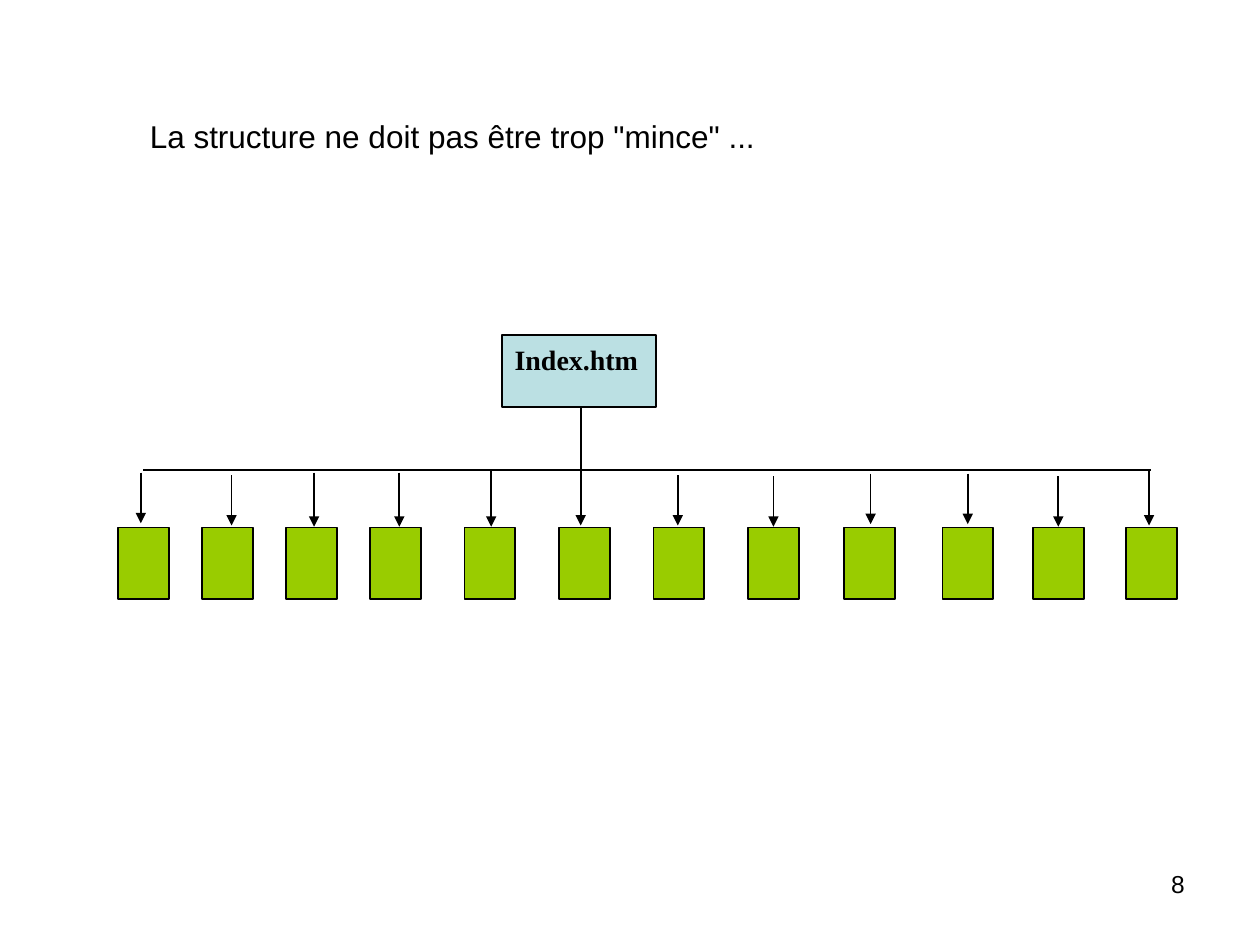
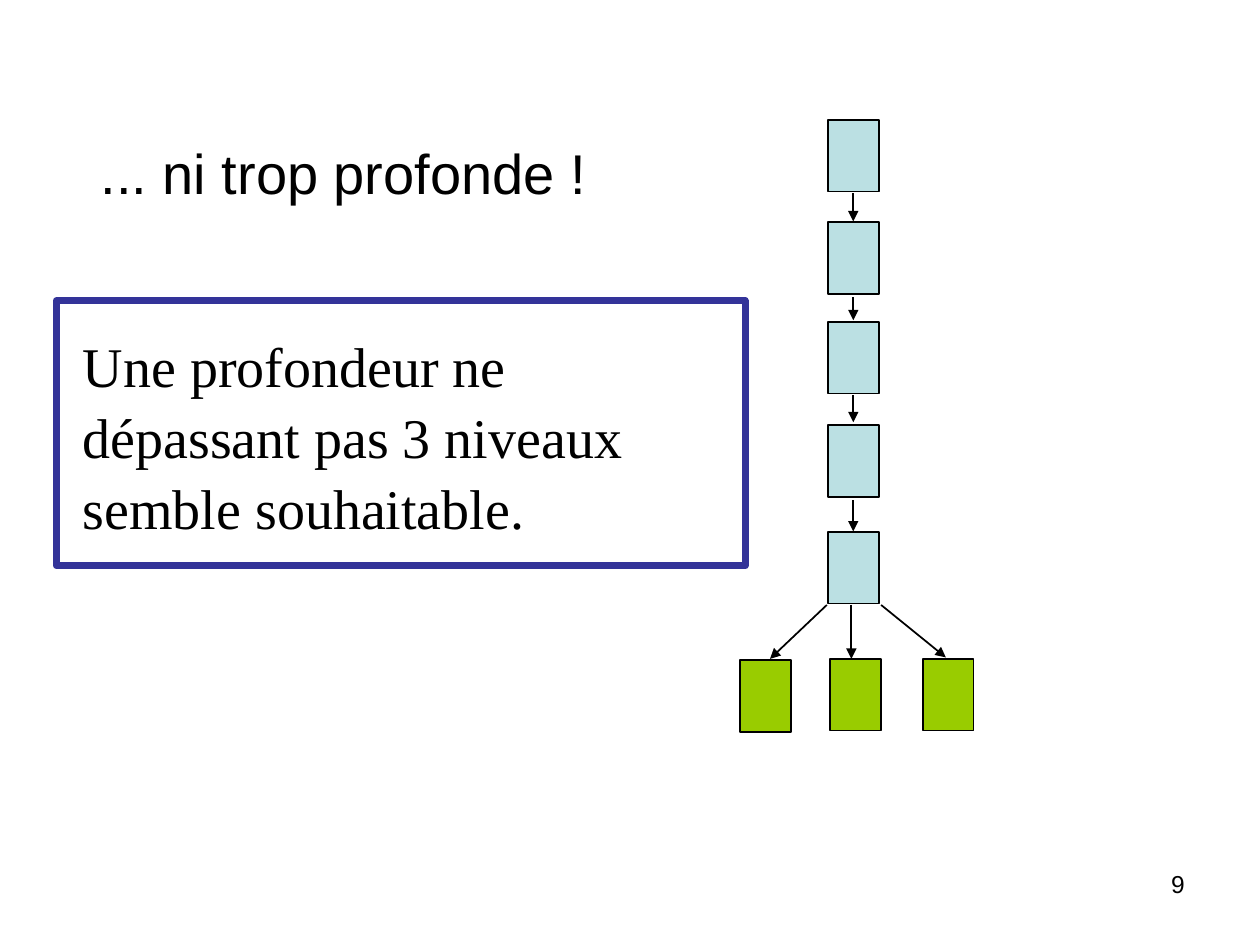
from dataclasses import dataclass
from typing import NamedTuple

from lxml.etree import SubElement
from pptx import Presentation
from pptx.dml.color import RGBColor
from pptx.enum.shapes import MSO_CONNECTOR, MSO_SHAPE
from pptx.enum.text import MSO_ANCHOR, PP_ALIGN
from pptx.oxml.ns import qn
from pptx.shapes.autoshape import Shape
from pptx.slide import Slide
from pptx.util import Pt


@dataclass(frozen=True)
class Theme:
    ink: RGBColor = RGBColor(0x00, 0x00, 0x00)
    branch: RGBColor = RGBColor(0xBB, 0xE0, 0xE3)
    leaf: RGBColor = RGBColor(0x99, 0xCC, 0x00)
    frame: RGBColor = RGBColor(0x33, 0x33, 0x99)
    sans: str = "Arial"
    serif: str = "Times New Roman"
    large: float = 32
    medium: float = 18
    label: float = 16
    number: float = 14
    thin: float = 1
    thick: float = 4
    line_spacing: float = 1.05


class Area(NamedTuple):
    left: float
    top: float
    width: float
    height: float


class Arrow(NamedTuple):
    start_x: float
    start_y: float
    end_x: float
    end_y: float


class Leaf(NamedTuple):
    left: float
    arrow_x: float
    arrow_top: float
    arrow_bottom: float


THEME = Theme()
NODE_WIDTH, NODE_HEIGHT = 29, 41
NUMBER_AREA = Area(516, 492, 168, 37)


def write(box: Shape, text: str, size: float, font: str, bold: bool = False,
          align: PP_ALIGN = PP_ALIGN.LEFT, inset_x: float = 7.2,
          inset_y: float = 3.6) -> None:
    frame = box.text_frame
    frame.word_wrap = True
    frame.vertical_anchor = MSO_ANCHOR.TOP
    frame.margin_left = frame.margin_right = Pt(inset_x)
    frame.margin_top = frame.margin_bottom = Pt(inset_y)
    para = frame.paragraphs[0]
    para.text = text
    para.alignment = align
    para.line_spacing = THEME.line_spacing
    para.font.size = Pt(size)
    para.font.name = font
    para.font.bold = bold
    para.font.color.rgb = THEME.ink


def add_text(page: Slide, area: Area, text: str, size: float,
             align: PP_ALIGN = PP_ALIGN.LEFT) -> None:
    box = page.shapes.add_textbox(*map(Pt, area))
    write(box, text, size, THEME.sans, align=align)


def add_rectangle(page: Slide, area: Area, fill: RGBColor | None,
                  line: RGBColor = THEME.ink, weight: float = THEME.thin) -> Shape:
    box = page.shapes.add_shape(MSO_SHAPE.RECTANGLE, *map(Pt, area))
    box.shadow.inherit = False
    if fill is None:
        box.fill.background()
    else:
        box.fill.solid()
        box.fill.fore_color.rgb = fill
    box.line.color.rgb = line
    box.line.width = Pt(weight)
    return box


def add_node(page: Slide, left: float, top: float, fill: RGBColor) -> None:
    add_rectangle(page, Area(left, top, NODE_WIDTH, NODE_HEIGHT), fill)


def add_line(page: Slide, route: Arrow, head: bool = True) -> None:
    line = page.shapes.add_connector(MSO_CONNECTOR.STRAIGHT, *map(Pt, route))
    line.line.color.rgb = THEME.ink
    line.line.width = Pt(THEME.thin)
    if head:
        SubElement(line.line._get_or_add_ln(), qn("a:tailEnd"), type="triangle")
    SubElement(line._element.spPr, qn("a:effectLst"))


def add_page(deck: Presentation, number: int) -> Slide:
    page = deck.slides.add_slide(deck.slide_layouts[6])
    add_text(page, NUMBER_AREA, str(number), THEME.number, PP_ALIGN.RIGHT)
    return page


def build_wide_structure(deck: Presentation) -> None:
    leaves = [
        Leaf(67.5, 80.5, 270, 299),
        Leaf(115.5, 132.3, 271.5, 300.3),
        Leaf(163.5, 179.5, 270, 301),
        Leaf(211.5, 228.2, 270, 301),
        Leaf(265.5, 280.7, 268.5, 301),
        Leaf(319.5, 331.8, 233, 300.3),
        Leaf(373.5, 387.3, 271.5, 300.3),
        Leaf(427.5, 442, 272.2, 301),
        Leaf(482.3, 497.5, 270.7, 299.5),
        Leaf(538.5, 553, 270.7, 299.5),
        Leaf(590.3, 604.8, 272.2, 301),
        Leaf(643.5, 656.6, 268.5, 300.3),
    ]
    page = add_page(deck, 8)
    add_text(page, Area(78.5, 62, 456, 29),
             'La structure ne doit pas être trop "mince" ...', THEME.medium)
    index = add_rectangle(page, Area(287, 191.5, 88, 41), THEME.branch)
    write(index, "Index.htm", THEME.label, THEME.serif, bold=True)
    add_line(page, Arrow(82, 268.6, 658, 268.6), head=False)
    for leaf in leaves:
        add_node(page, leaf.left, 301.5, THEME.leaf)
        add_line(page, Arrow(leaf.arrow_x, leaf.arrow_top,
                             leaf.arrow_x, leaf.arrow_bottom))


def build_deep_structure(deck: Presentation) -> None:
    branch_left = 473.3
    branch_tops = [68.5, 127, 184, 243, 304]
    leaf_corners = [(423, 377.3), (474.3, 376.5), (527.3, 376.5)]
    arrows = [
        Arrow(487.6, 110.3, 487.6, 126.5),
        Arrow(487.6, 170, 487.6, 183),
        Arrow(487.6, 226, 487.6, 241.3),
        Arrow(487.6, 286, 487.6, 303.7),
        Arrow(486.5, 345.7, 486.5, 376.5),
        Arrow(472.5, 345.7, 440, 376.5),
        Arrow(503.5, 345.7, 540.5, 375.7),
    ]
    page = add_page(deck, 9)
    add_text(page, Area(50.5, 73.5, 612, 356), "... ni trop profonde !", THEME.large)
    for top in branch_tops:
        add_node(page, branch_left, top, THEME.branch)
    for left, top in leaf_corners:
        add_node(page, left, top, THEME.leaf)
    for arrow in arrows:
        add_line(page, arrow)
    advice = add_rectangle(page, Area(32.3, 171.8, 393.5, 151.5), None,
                           THEME.frame, THEME.thick)
    write(advice, "Une profondeur ne dépassant pas 3 niveaux semble souhaitable.",
          THEME.large, THEME.serif, inset_x=15, inset_y=16)


def main() -> None:
    deck = Presentation()
    deck.slide_width, deck.slide_height = Pt(720), Pt(540)
    build_wide_structure(deck)
    build_deep_structure(deck)
    deck.save("out.pptx")


main()
